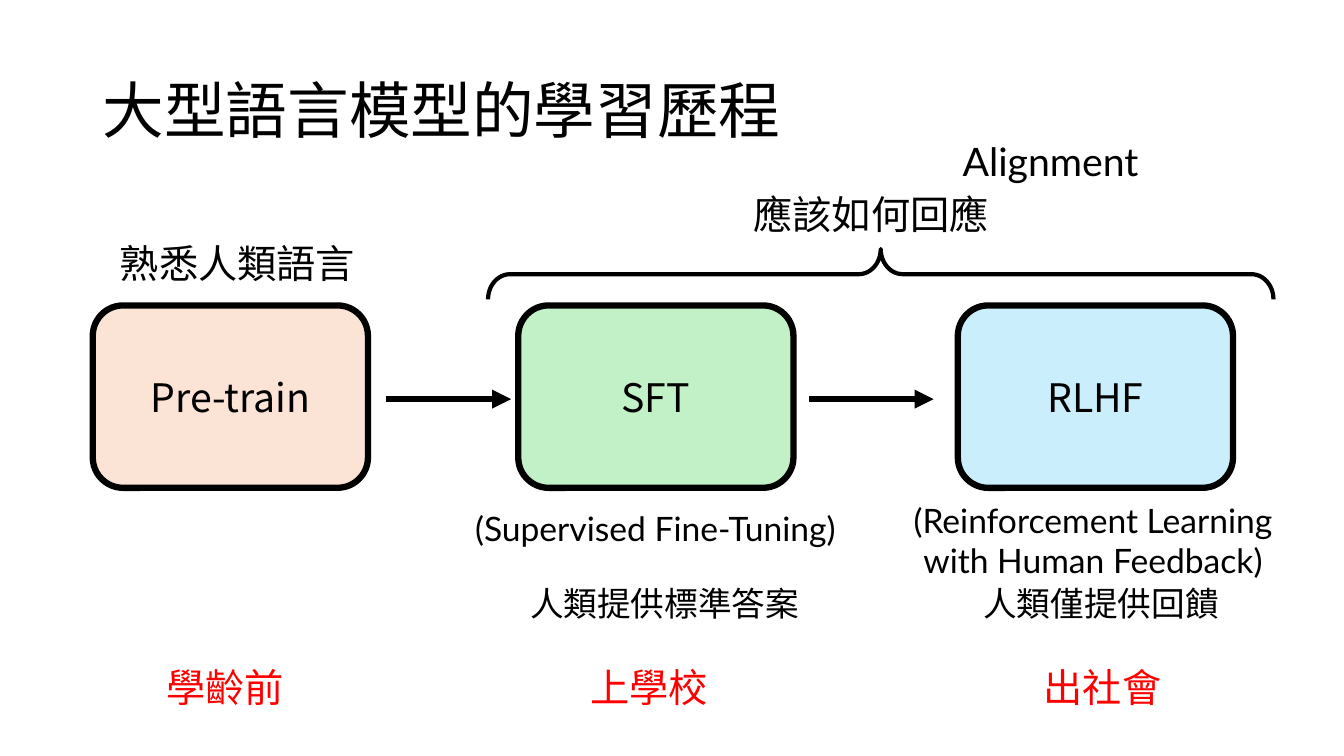
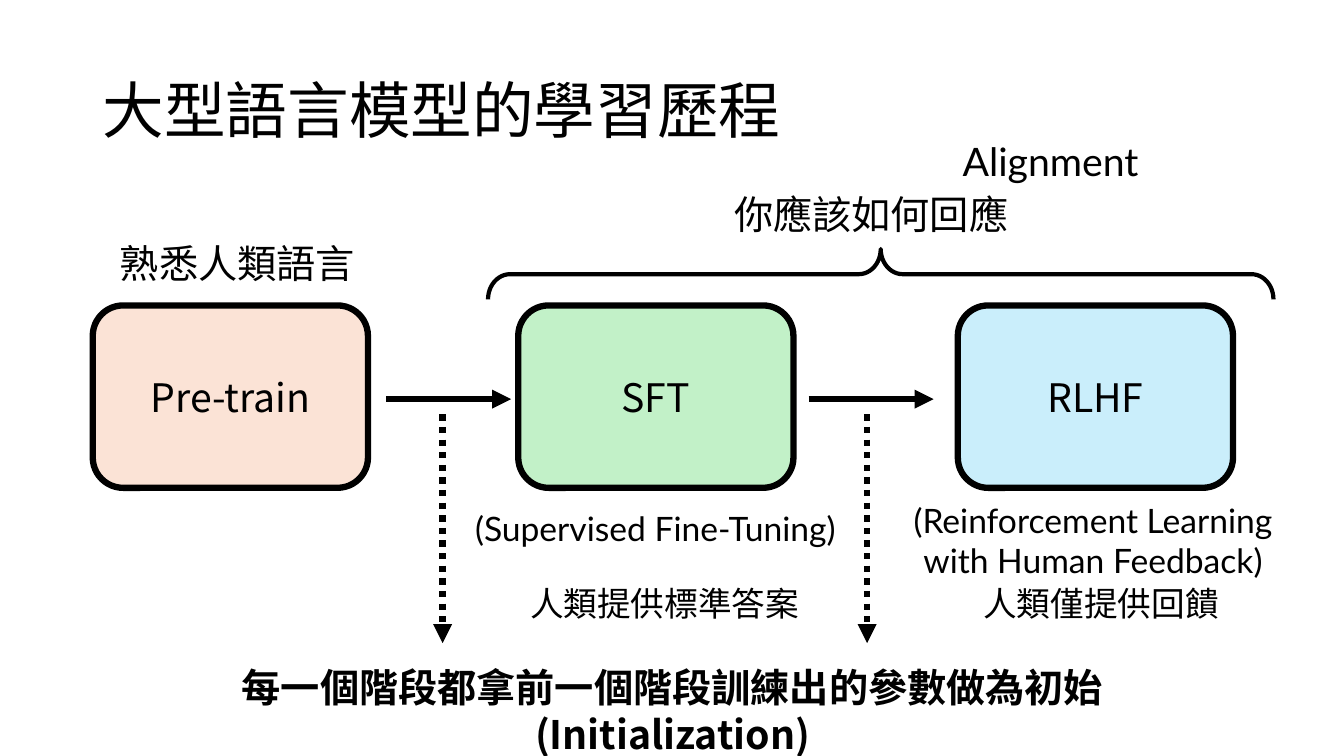
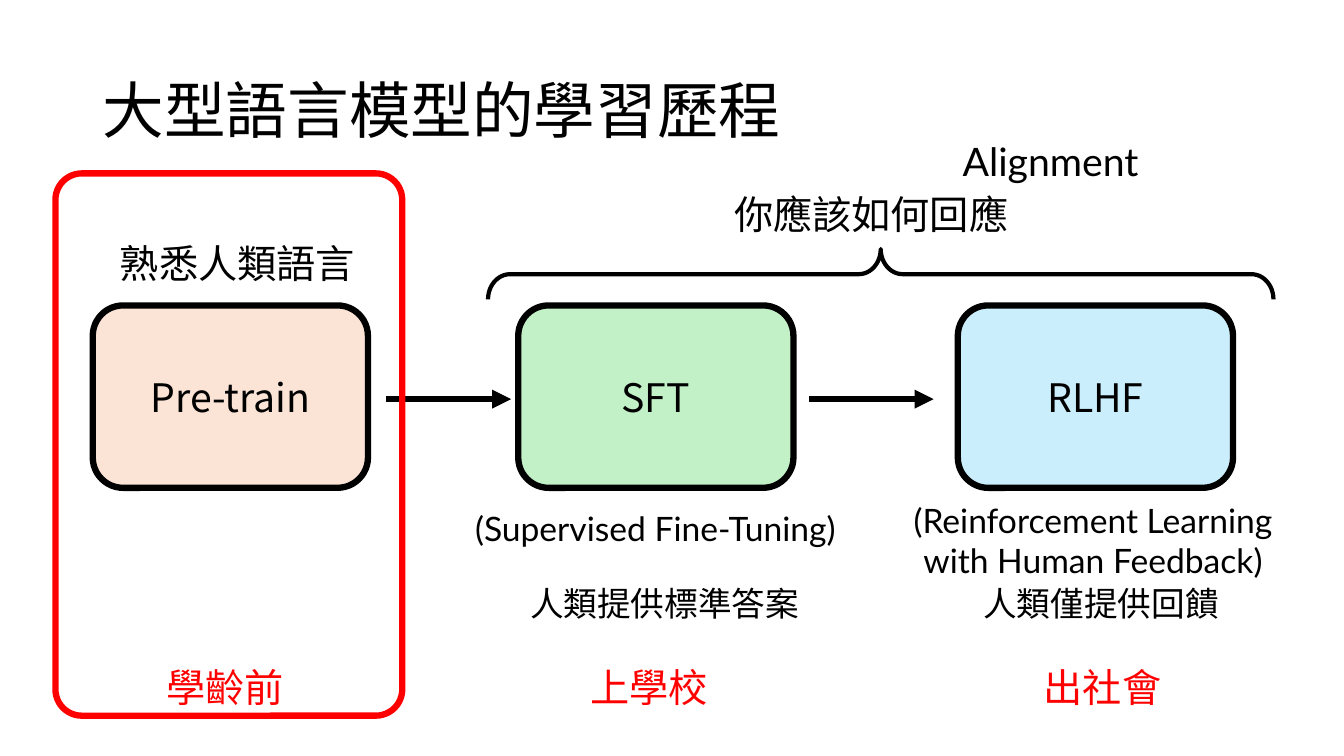
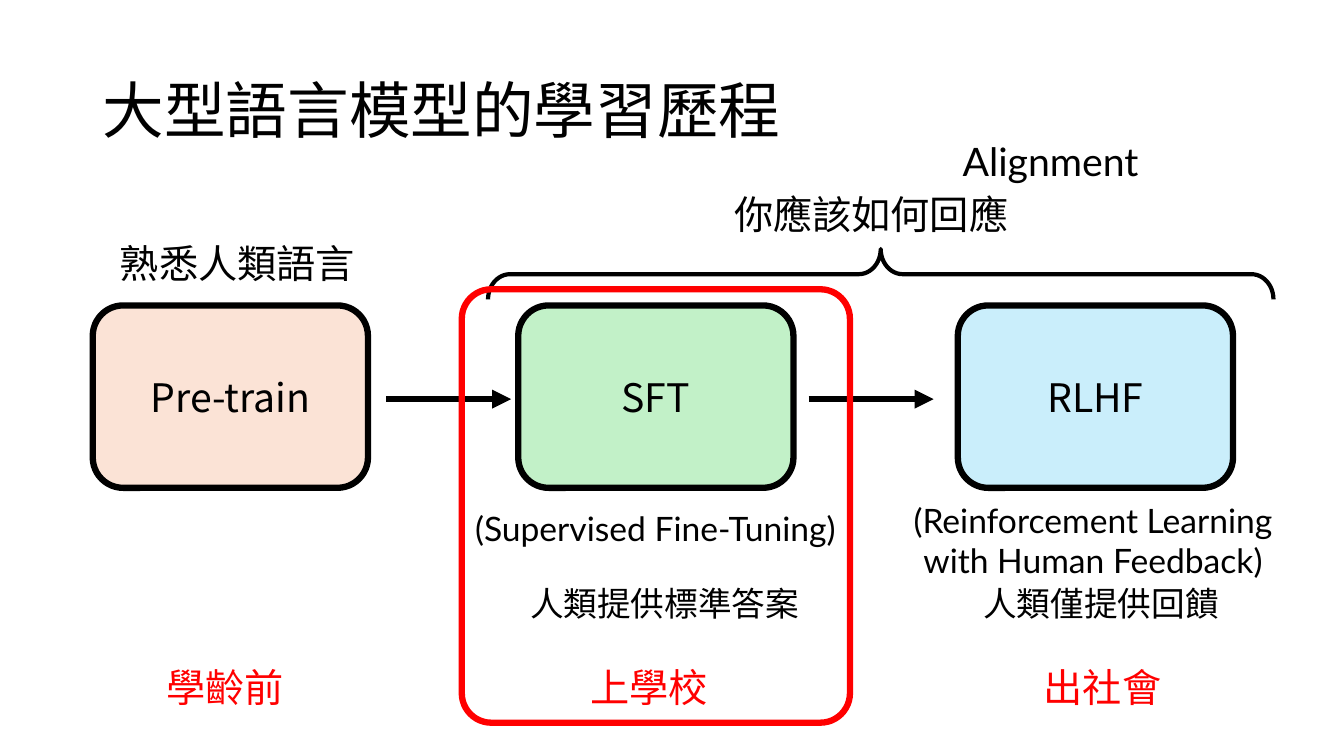
from dataclasses import dataclass

from lxml import etree
from pptx import Presentation
from pptx.dml.color import RGBColor
from pptx.enum.dml import MSO_LINE
from pptx.enum.shapes import MSO_CONNECTOR, MSO_SHAPE
from pptx.enum.text import MSO_ANCHOR, MSO_AUTO_SIZE, PP_ALIGN
from pptx.oxml.ns import qn
from pptx.util import Inches, Pt

ROUNDED = MSO_SHAPE.ROUNDED_RECTANGLE
BRACE = MSO_SHAPE.RIGHT_BRACE
STRAIGHT = MSO_CONNECTOR.STRAIGHT
DOTTED = MSO_LINE.ROUND_DOT
LEFT, CENTER = PP_ALIGN.LEFT, PP_ALIGN.CENTER
TOP, MIDDLE = MSO_ANCHOR.TOP, MSO_ANCHOR.MIDDLE
GROW = MSO_AUTO_SIZE.SHAPE_TO_FIT_TEXT

CJK, LATIN = "Noto Sans CJK SC", "Lato"
BLACK, RED = "000000", "FF0000"
THICK = 4.5

TITLE = "大型語言模型的學習歷程"
TITLE_BOX = (0.92, 0.4, 11.5, 1.45)
STAGE_TOP, STAGE_WIDTH, STAGE_HEIGHT = 3.03, 2.73, 1.81
ARROW_TOP, ARROW_LENGTH = 3.96, 1.24
ARROW_LEFTS = (3.83, 8.02)
BOTTOM_ROW = 6.53


@dataclass
class Stage:
    """One training stage; the shifts are measured from the left of its box."""
    name: str
    left: float
    fill: str
    age: str
    age_shift: float
    full_name: str = ""
    full_name_box: tuple = ()
    feedback: str = ""
    feedback_shift: float = 0


STAGES = (
    Stage("Pre-train", 0.92, "FBE3D6", "學齡前", -0.28),
    Stage("SFT", 5.14, "C2F1C8", "上學校", -0.3,
          "(Supervised Fine-Tuning)", (-0.63, 1.96, 3.98, 0.5), "人類提供標準答案"),
    Stage("RLHF", 9.5, "CAEEFB", "出社會", -0.16,
          "(Reinforcement Learning with Human Feedback)",
          (-0.65, 1.88, 3.98, 0.91), "人類僅提供回饋", -0.03),
)


def color(value):
    return RGBColor.from_string(value)


def inches(box):
    return [Inches(value) for value in box]


def write(shape, text, size, font=CJK, ink=BLACK, align=CENTER, anchor=TOP, bold=False):
    frame = shape.text_frame
    frame.word_wrap = True
    frame.vertical_anchor = anchor
    paragraph = frame.paragraphs[0]
    paragraph.alignment = align
    run = paragraph.add_run()
    run.text = text
    run.font.size = Pt(size)
    run.font.bold = bold
    run.font.color.rgb = color(ink)
    run.font.name = font
    east_asian = etree.SubElement(run.font._element, qn("a:ea"))
    east_asian.set("typeface", font)
    return paragraph


def add_label(slide, box, text, size=28, **style):
    shape = slide.shapes.add_textbox(*inches(box))
    write(shape, text, size, **style)
    shape.text_frame.auto_size = GROW


def add_outline(slide, kind, box, line=BLACK, width=THICK, fill=None):
    shape = slide.shapes.add_shape(kind, *inches(box))
    shape.shadow.inherit = False
    if fill:
        shape.fill.solid()
        shape.fill.fore_color.rgb = color(fill)
    else:
        shape.fill.background()
    shape.line.color.rgb = color(line)
    shape.line.width = Pt(width)
    return shape


def add_arrow(slide, start, end, dash=None):
    arrow = slide.shapes.add_connector(STRAIGHT, *inches(start + end))
    arrow.line.color.rgb = color(BLACK)
    arrow.line.width = Pt(THICK)
    if dash:
        arrow.line.dash_style = dash
    properties = arrow._element.spPr
    etree.SubElement(properties.find(qn("a:ln")), qn("a:tailEnd")).set("type", "triangle")
    etree.SubElement(properties, qn("a:effectLst"))


def add_title(slide, box):
    shape = slide.shapes.add_textbox(*inches(box))
    paragraph = write(shape, TITLE, 44, align=LEFT, anchor=MIDDLE)
    paragraph.line_spacing = 0.9


def add_stage(slide, stage, top):
    box = (stage.left, top, STAGE_WIDTH, STAGE_HEIGHT)
    shape = add_outline(slide, ROUNDED, box, fill=stage.fill)
    write(shape, stage.name, 28, anchor=MIDDLE)
    if stage.full_name:
        shift, drop, width, height = stage.full_name_box
        add_label(slide, (stage.left + shift, top + drop, width, height),
                  stage.full_name, 24, font=LATIN)
        add_label(slide, (stage.left + stage.feedback_shift, top + 2.7, 2.9, 0.5),
                  stage.feedback, 24)


def add_alignment(slide, box, question):
    """Brace filling the box, with its question and heading above."""
    left, top, width, height = box
    center_x, center_y = left + width / 2, top + height / 2
    upright = (center_x - height / 2, center_y - width / 2, height, width)
    brace = add_outline(slide, BRACE, upright, width=3)
    brace.adjustments[0] = 0.436
    brace.adjustments[1] = 0.5
    brace.rotation = 270
    add_label(slide, (left + 2.08, top - 0.63, 3.44, 0.57), question)
    add_label(slide, (left + 4.61, top - 1.16, 2.03, 0.57), "Alignment",
              font=LATIN, align=LEFT)


def add_ages(slide, top):
    for stage in STAGES:
        add_label(slide, (stage.left + stage.age_shift, top, 3.19, 0.57), stage.age, ink=RED)


def add_initialization(slide, top):
    for x in (4.39, 8.6):
        add_arrow(slide, (x, ARROW_TOP + 0.15), (x, top - 0.15), DOTTED)
    add_label(slide, (0.92, top, 11.5, 0.57),
              "每一個階段都拿前一個階段訓練出的參數做為初始 (Initialization)", bold=True)


def add_highlight(slide, box):
    frame = add_outline(slide, ROUNDED, box, line=RED)
    frame.adjustments[0] = 0.076


def add_journey(presentation, question="你應該如何回應"):
    """Slide with the parts that every step of the journey shows."""
    slide = presentation.slides.add_slide(presentation.slide_layouts[6])
    add_title(slide, TITLE_BOX)
    for stage in STAGES:
        add_stage(slide, stage, STAGE_TOP)
    for left in ARROW_LEFTS:
        add_arrow(slide, (left, ARROW_TOP), (left + ARROW_LENGTH, ARROW_TOP))
    add_label(slide, (0.99, STAGE_TOP - 0.7, STAGE_WIDTH, 0.57), "熟悉人類語言")
    add_alignment(slide, (4.84, 2.47, 7.79, 0.5), question)
    return slide


def main():
    presentation = Presentation()
    presentation.slide_width = Inches(13.33)
    presentation.slide_height = Inches(7.5)

    add_ages(add_journey(presentation, "應該如何回應"), BOTTOM_ROW)
    add_initialization(add_journey(presentation), BOTTOM_ROW)
    for highlight in ((0.55, 1.72, 3.44, 5.38), (4.58, 2.87, 3.85, 4.3)):
        slide = add_journey(presentation)
        add_ages(slide, BOTTOM_ROW)
        add_highlight(slide, highlight)

    presentation.save("out.pptx")


if __name__ == "__main__":
    main()
